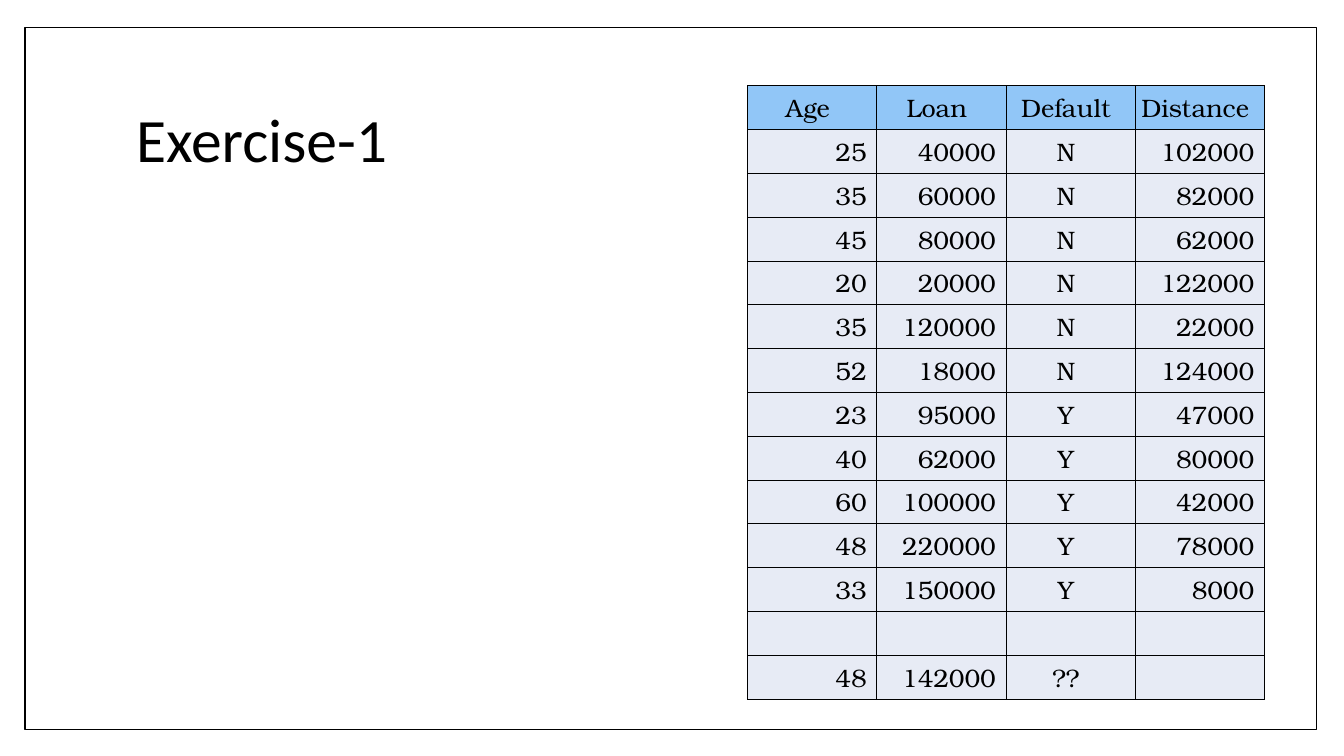
from lxml import etree
from pptx import Presentation
from pptx.dml.color import RGBColor
from pptx.enum.shapes import MSO_SHAPE
from pptx.enum.text import MSO_ANCHOR, PP_ALIGN
from pptx.oxml.ns import qn
from pptx.util import Inches, Pt

RECT = MSO_SHAPE.RECTANGLE
MIDDLE = MSO_ANCHOR.MIDDLE
LEFT, CENTER, RIGHT = PP_ALIGN.LEFT, PP_ALIGN.CENTER, PP_ALIGN.RIGHT

WIDE, HIGH = Inches(13.34), Inches(7.5)
BLACK, WHITE, HEAD, BODY = "000000", "FFFFFF", "91C6F7", "E7EBF5"
SIDES = (RIGHT, RIGHT, CENTER, RIGHT)
ROWS = [
    ("Age", "Loan", "Default", "Distance"),
    ("25", "40000", "N", "102000"),
    ("35", "60000", "N", "82000"),
    ("45", "80000", "N", "62000"),
    ("20", "20000", "N", "122000"),
    ("35", "120000", "N", "22000"),
    ("52", "18000", "N", "124000"),
    ("23", "95000", "Y", "47000"),
    ("40", "62000", "Y", "80000"),
    ("60", "100000", "Y", "42000"),
    ("48", "220000", "Y", "78000"),
    ("33", "150000", "Y", "8000"),
    ("", "", "", ""),
    ("48", "142000", "??", ""),
]


def area(left, top, width, height):
    """Turn percentages of the slide's size into lengths."""
    return (int(WIDE * left / 100), int(HIGH * top / 100),
            int(WIDE * width / 100), int(HIGH * height / 100))


def paint(fill, color):
    fill.solid()
    fill.fore_color.rgb = RGBColor.from_string(color)


def style(par, font, size, align):
    par.alignment = align
    for run in par.runs:
        run.font.name = font
        run.font.size = Pt(size)
        paint(run.font.fill, BLACK)


def add_frame(slide, box):
    frame = slide.shapes.add_shape(RECT, *box)
    frame.shadow.inherit = False
    paint(frame.fill, WHITE)
    paint(frame.line.fill, BLACK)
    frame.line.width = Pt(1)
    # Send it behind the title
    slide.shapes._spTree.insert(2, frame._element)


def add_title(slide, text, box):
    title = slide.shapes.title
    title.left, title.top, title.width, title.height = box
    title.text_frame.text = text
    title.text_frame.vertical_anchor = MIDDLE
    par = title.text_frame.paragraphs[0]
    par.line_spacing = 0.9
    style(par, "Calibri", 44, LEFT)


def edge(cell):
    props = cell._tc.get_or_add_tcPr()
    for side in ("a:lnL", "a:lnR", "a:lnT", "a:lnB"):
        line = etree.SubElement(props, qn(side), w=str(Pt(0.45)))
        solid = etree.SubElement(line, qn("a:solidFill"))
        etree.SubElement(solid, qn("a:srgbClr"), val=BLACK)


def fill_cell(cell, text, color, align):
    edge(cell)
    paint(cell.fill, color)
    cell.vertical_anchor = MIDDLE
    cell.margin_left, cell.margin_right = Inches(0.01), Inches(0.1)
    cell.margin_top = cell.margin_bottom = Inches(0.05)
    cell.text_frame.text = text
    style(cell.text_frame.paragraphs[0], "TeX Gyre Bonum", 18, align)


def add_grid(slide, rows, box):
    table = slide.shapes.add_table(len(rows), len(rows[0]), *box).table
    table.horz_banding = table.first_row = False
    for r, row in enumerate(rows):
        for c, text in enumerate(row):
            color, align = (BODY, SIDES[c]) if r else (HEAD, CENTER)
            fill_cell(table.cell(r, c), text, color, align)


def main():
    deck = Presentation()
    deck.slide_width, deck.slide_height = WIDE, HIGH
    slide = deck.slides.add_slide(deck.slide_layouts[5])
    paint(slide.background.fill, WHITE)
    add_frame(slide, area(1.87, 3.6, 96.1, 92.93))
    add_title(slide, "Exercise-1", area(9.37, 8.93, 80.96, 19.73))
    add_grid(slide, ROWS, area(55.62, 11.33, 38.46, 81.2))
    deck.save("out.pptx")


if __name__ == "__main__":
    main()
